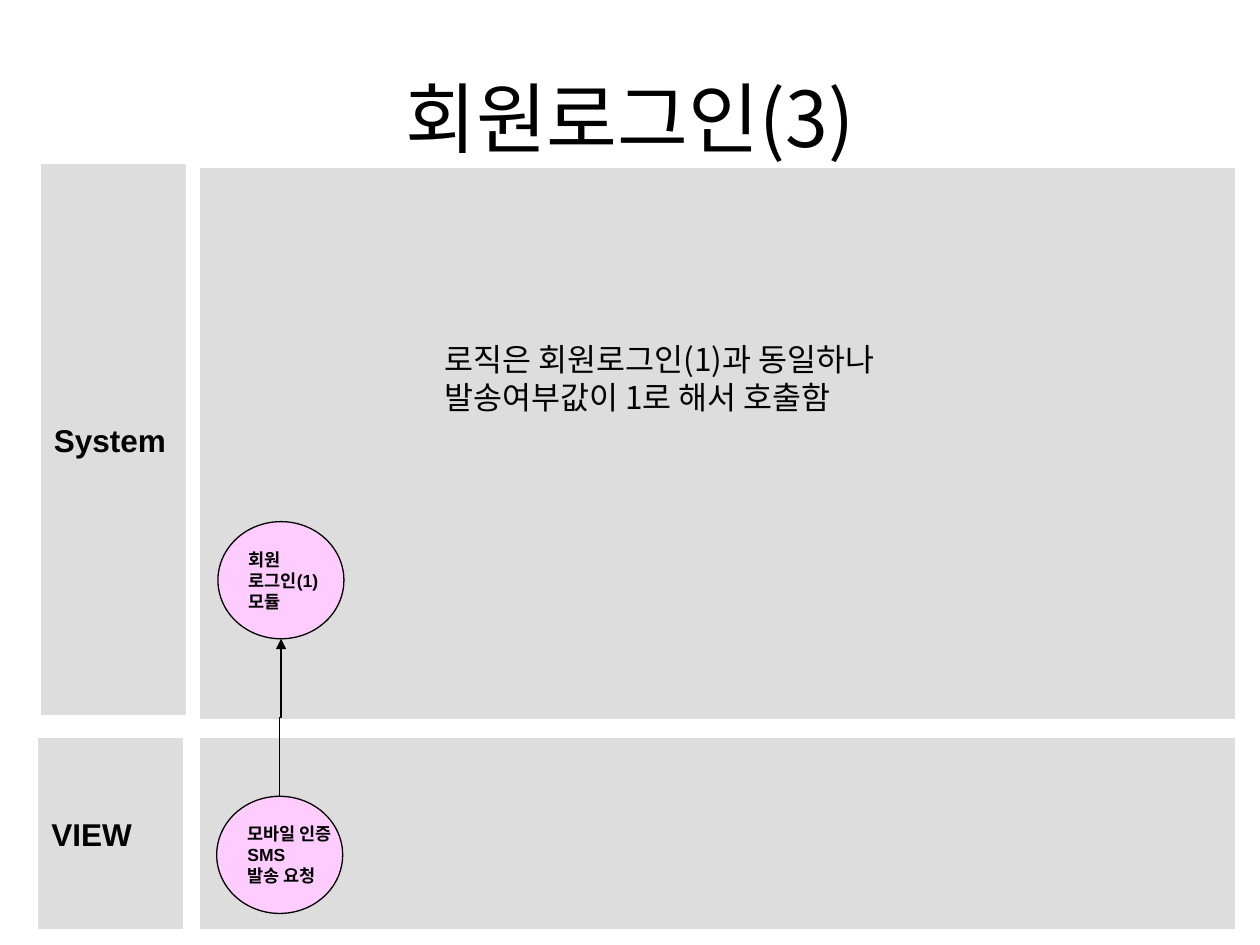
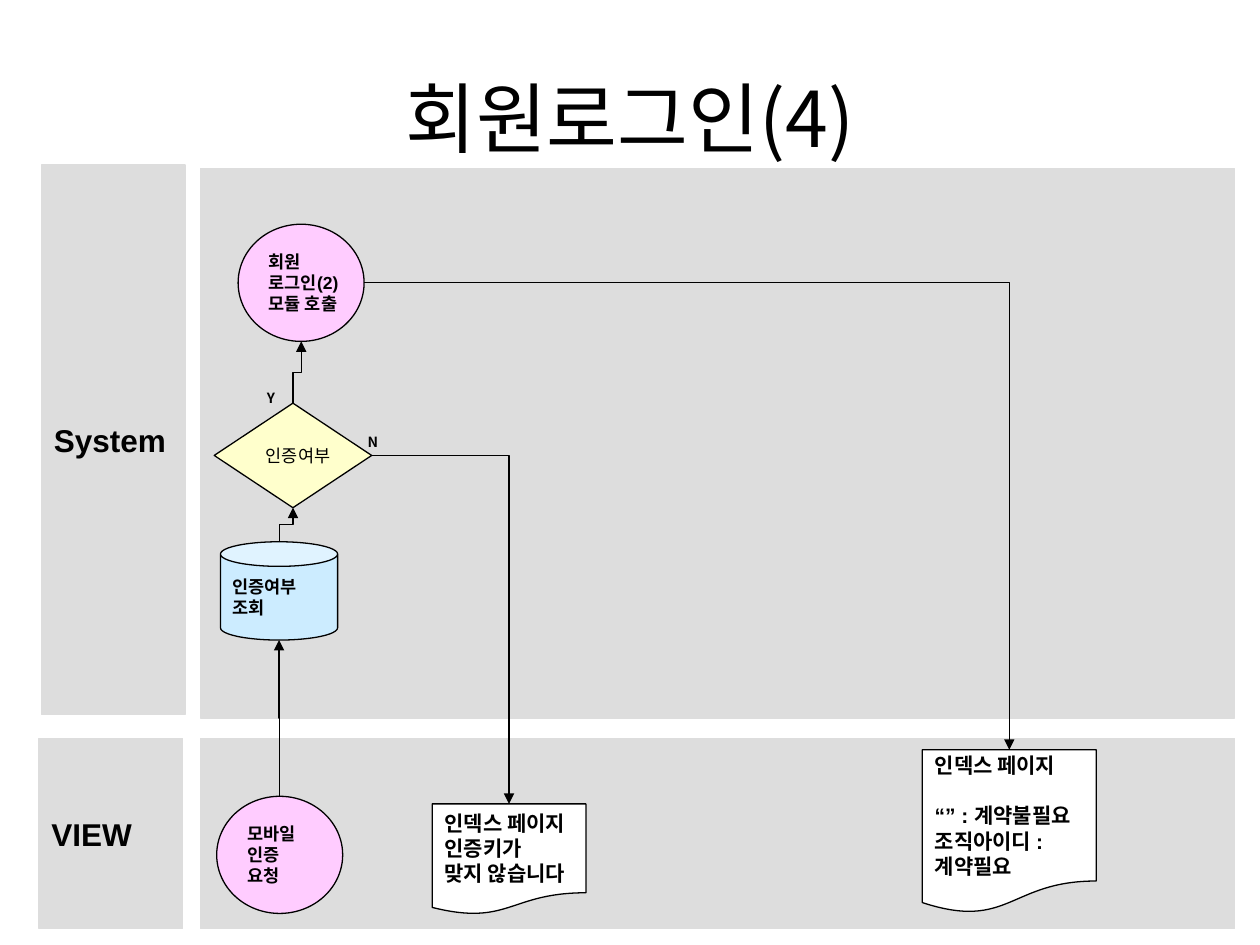
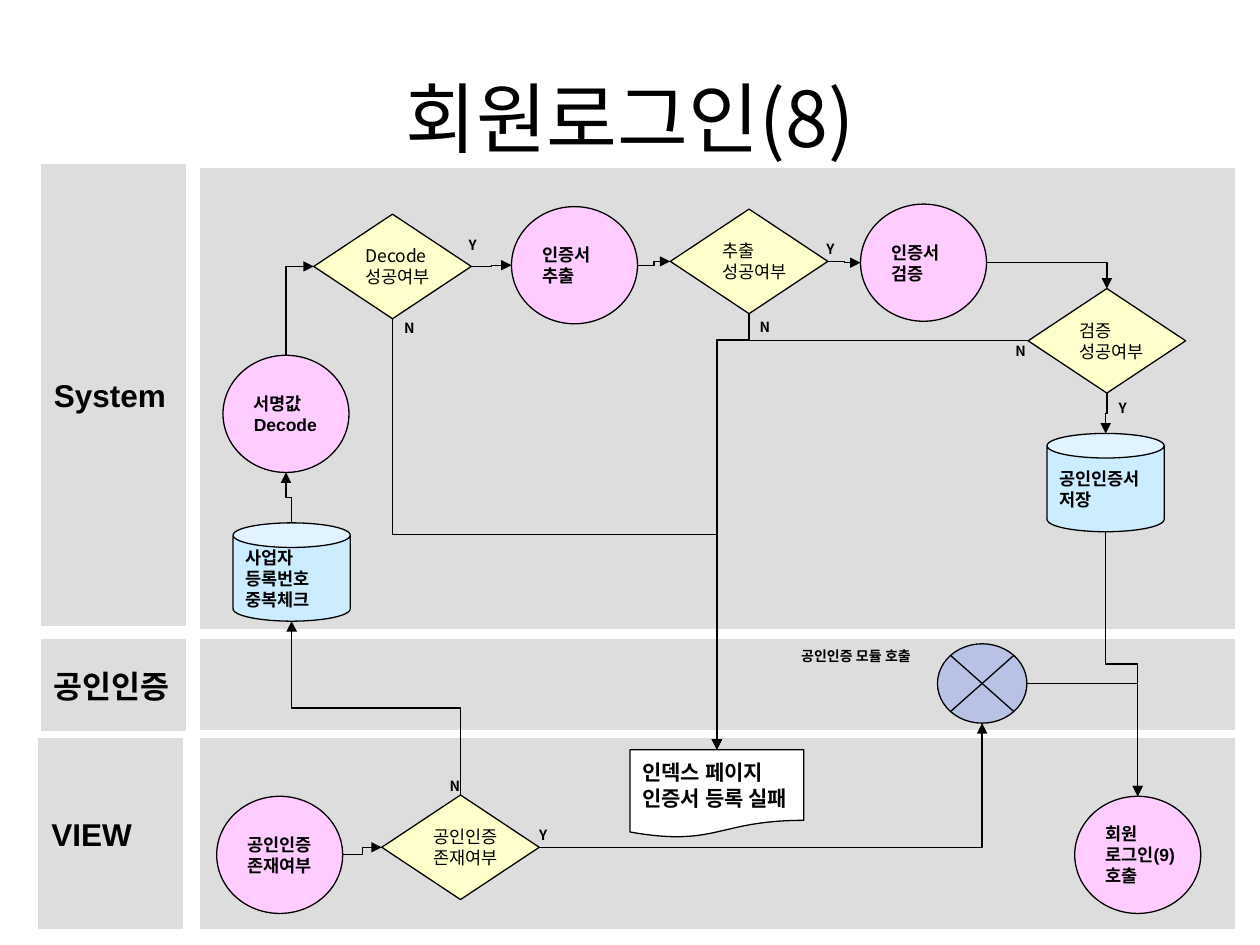
from collections import namedtuple

from lxml.etree import SubElement
from pptx import Presentation
from pptx.dml.color import RGBColor
from pptx.enum.shapes import MSO_CONNECTOR, MSO_SHAPE
from pptx.enum.text import MSO_ANCHOR, PP_ALIGN
from pptx.oxml.ns import qn
from pptx.util import Inches, Pt

COLORS = {
    "ink": "000000",
    "lane": "DDDDDD",
    "circle": "FFCCFF",
    "diamond": "FFFFCC",
    "can": "CCECFF",
    "document": "FFFFFF",
    "junction": "3366FF",
}
LATIN = "Arial"
KOREAN = "Noto Sans CJK KR"
TITLE_ONLY = 5

Box = namedtuple("Box", "left top width height")
Kind = namedtuple("Kind", "preset width height size bold font")

KINDS = {
    "circle": Kind(MSO_SHAPE.OVAL, 1, 0.93, 10, True, LATIN),
    "diamond": Kind(MSO_SHAPE.DIAMOND, 1.25, 0.83, 10, False, KOREAN),
    "can": Kind(MSO_SHAPE.CAN, 0.93, 0.78, 10, True, LATIN),
    "document": Kind(MSO_SHAPE.FLOWCHART_DOCUMENT, 1.38, 0.7, 12, True, LATIN),
    "junction": Kind(MSO_SHAPE.FLOWCHART_SUMMING_JUNCTION, 0.71, 0.63, 10, False, LATIN),
}
SIDES = {"left": (0, 0.5), "right": (1, 0.5), "top": (0.5, 0), "bottom": (0.5, 1)}
UPRIGHT = ("top", "bottom")


def color(name):
    """Return a palette colour."""
    return RGBColor.from_string(COLORS[name])


def write_text(shape, text, size=10, bold=False, font=LATIN, align=PP_ALIGN.LEFT,
               anchor=MSO_ANCHOR.MIDDLE, wrap=False, gaps=None):
    """Fill a shape with one paragraph per line; gaps maps line index to space before."""
    frame = shape.text_frame
    frame.word_wrap = wrap
    frame.vertical_anchor = anchor
    for index, line in enumerate(text.split("\n")):
        para = frame.add_paragraph() if index else frame.paragraphs[0]
        para.alignment = align
        if gaps and index in gaps:
            para.space_before = Pt(gaps[index])
        span = para.add_run()
        span.text = line
        span.font.size = Pt(size)
        span.font.bold = bold
        span.font.color.rgb = color("ink")
        span.font.name = font
        SubElement(span.font._element, qn("a:ea")).set("typeface", KOREAN)


def add_panel(page, preset, box, fill, line):
    """Add a filled preset shape with a thin outline."""
    shape = page.shapes.add_shape(preset, *map(Inches, box))
    shape.shadow.inherit = False
    shape.fill.solid()
    shape.fill.fore_color.rgb = color(fill)
    shape.line.color.rgb = color(line)
    shape.line.width = Pt(0.75)
    return shape


def add_lane(page, name, tag, body):
    """Draw a lane with its name tag and return the body box."""
    add_panel(page, MSO_SHAPE.RECTANGLE, body, "lane", "lane")
    label = add_panel(page, MSO_SHAPE.RECTANGLE, tag, "lane", "lane")
    write_text(label, name, size=18, bold=True)
    return body


def add_system_lane(page, height):
    """Draw the System lane."""
    return add_lane(page, "System", Box(0.33, 1.31, 1.14, height), Box(1.59, 1.34, 8.21, height))


def add_view_lane(page):
    """Draw the VIEW lane."""
    return add_lane(page, "VIEW", Box(0.31, 5.86, 1.14, 1.51), Box(1.59, 5.86, 8.21, 1.51))


def add_node(page, lane, kind, x, y, text="", width=None, height=None, gaps=None):
    """Place a flow node at an offset inside a lane."""
    style = KINDS[kind]
    box = Box(lane.left + x, lane.top + y, width or style.width, height or style.height)
    node = add_panel(page, style.preset, box, kind, "ink")
    if text:
        write_text(node, text, size=style.size, bold=style.bold, font=style.font, gaps=gaps)
    return node


def add_note(page, lane, x, y, text, width=0.28, height=0.24, size=8, bold=True):
    """Place loose text at an offset inside a lane."""
    note = page.shapes.add_textbox(*map(Inches, (lane.left + x, lane.top + y, width, height)))
    write_text(note, text, size=size, bold=bold, font=KOREAN, anchor=MSO_ANCHOR.TOP)


def side_point(node, side):
    """Return the middle of one side of a node."""
    across, down = SIDES[side]
    return node.left + node.width * across, node.top + node.height * down


def add_link(page, start, start_side, end, end_side, bend=0.5):
    """Join two nodes with an elbow arrow that leaves along the start side's axis."""
    x1, y1 = side_point(start, start_side)
    x2, y2 = side_point(end, end_side)
    turn = 0
    if start_side in UPRIGHT:
        turn = 90 if (x2 - x1) * (y2 - y1) < 0 else 270
        sign = 1 if turn == 90 else -1
        mid_x, mid_y = (x1 + x2) / 2, (y1 + y2) / 2
        half_x, half_y = sign * (x2 - x1) / 2, sign * (y2 - y1) / 2
        x1, y1, x2, y2 = mid_x - half_y, mid_y + half_x, mid_x + half_y, mid_y - half_x
    link = page.shapes.add_connector(MSO_CONNECTOR.ELBOW, *map(int, (x1, y1, x2, y2)))
    link.line.color.rgb = color("ink")
    link.line.width = Pt(0.75)
    properties = link.element.spPr
    if turn:
        properties.find(qn("a:xfrm")).set("rot", str(turn * 60000))
    geometry = properties.find(qn("a:prstGeom"))
    if (start_side in UPRIGHT) != (end_side in UPRIGHT):
        geometry.set("prst", "bentConnector2")
    else:
        guide = SubElement(geometry.find(qn("a:avLst")), qn("a:gd"))
        guide.set("name", "adj1")
        guide.set("fmla", f"val {round(bend * 100000)}")
    SubElement(properties.find(qn("a:ln")), qn("a:tailEnd")).set("type", "triangle")
    SubElement(properties, qn("a:effectLst"))


def add_page(deck, title):
    """Add a slide with the shared title style."""
    page = deck.slides.add_slide(deck.slide_layouts[TITLE_ONLY])
    box = page.shapes.title
    box.left, box.top, box.width, box.height = map(Inches, (0.5, 0.3, 9, 1.25))
    write_text(box, title, size=44, font=KOREAN, align=PP_ALIGN.CENTER, wrap=True)
    return page


def build_resend_page(deck):
    """Build the SMS request flow."""
    page = add_page(deck, "회원로그인(3)")
    view = add_view_lane(page)
    system = add_system_lane(page, 4.36)
    request = add_node(page, view, "circle", 0.13, 0.46, "모바일 인증\nSMS\n발송 요청")
    module = add_node(page, system, "circle", 0.14, 2.8, "회원\n로그인(1)\n모듈")
    add_link(page, request, "top", module, "bottom")
    add_note(page, system, 1.84, 1.31, "로직은 회원로그인(1)과 동일하나\n발송여부값이 1로 해서 호출함",
             width=3.96, height=0.71, size=18, bold=False)


def build_mobile_page(deck):
    """Build the mobile verification flow."""
    page = add_page(deck, "회원로그인(4)")
    view = add_view_lane(page)
    system = add_system_lane(page, 4.36)
    request = add_node(page, view, "circle", 0.13, 0.46, "모바일\n인증\n요청")
    lookup = add_node(page, system, "can", 0.16, 2.96, "인증여부\n조회")
    verified = add_node(page, system, "diamond", 0.11, 1.86, "인증여부")
    module = add_node(page, system, "circle", 0.3, 0.44, "회원\n로그인(2)\n모듈 호출")
    failure = add_node(page, view, "document", 1.84, 0.52, "인덱스 페이지\n인증키가\n맞지 않습니다",
                       width=1.22, height=0.88)
    index = add_node(page, view, "document", 5.73, 0.09,
                     "인덱스 페이지\n“” : 계약불필요\n조직아이디 :\n계약필요",
                     height=1.3, gaps={1: 14.5})
    add_link(page, request, "top", lookup, "bottom")
    add_link(page, lookup, "top", verified, "bottom")
    add_link(page, verified, "top", module, "bottom")
    add_link(page, verified, "right", failure, "top")
    add_link(page, module, "right", index, "top")
    add_note(page, system, 0.43, 1.7, "Y")
    add_note(page, system, 1.23, 2.05, "N")


def build_certificate_page(deck):
    """Build the certificate verification flow."""
    page = add_page(deck, "회원로그인(8)")
    view = add_view_lane(page)
    system = add_system_lane(page, 3.65)
    module = add_lane(page, "공인인증", Box(0.33, 5.08, 1.14, 0.72), Box(1.59, 5.08, 8.21, 0.71))

    request = add_node(page, view, "circle", 0.13, 0.46, "공인인증\n존재여부")
    exists = add_node(page, view, "diamond", 1.44, 0.45, "공인인증\n존재여부")
    failure = add_node(page, view, "document", 3.41, 0.09, "인덱스 페이지\n인증서 등록 실패")
    login = add_node(page, view, "circle", 6.94, 0.46, "회원\n로그인(9)\n호출")
    junction = add_node(page, module, "junction", 5.85, 0.03)
    tint = junction.element.spPr.find(qn("a:solidFill")).find(qn("a:srgbClr"))
    SubElement(tint, qn("a:alpha")).set("val", "22000")
    duplicate = add_node(page, system, "can", 0.26, 2.81, "사업자\n등록번호\n중복체크")
    decode = add_node(page, system, "circle", 0.18, 1.48, "서명값\nDecode")
    decoded = add_node(page, system, "diamond", 0.9, 0.36, "Decode\n성공여부")
    extract = add_node(page, system, "circle", 2.47, 0.3, "인증서\n추출")
    extracted = add_node(page, system, "diamond", 3.73, 0.32, "추출\n성공여부")
    verify = add_node(page, system, "circle", 5.24, 0.28, "인증서\n검증")
    verified = add_node(page, system, "diamond", 6.57, 0.95, "검증\n성공여부")
    store = add_node(page, system, "can", 6.72, 2.1, "공인인증서\n저장")

    for start, start_side, end, end_side in (
        (request, "right", exists, "left"),
        (exists, "top", duplicate, "bottom"),
        (exists, "right", junction, "bottom"),
        (duplicate, "top", decode, "bottom"),
        (decode, "top", decoded, "left"),
        (decoded, "right", extract, "left"),
        (decoded, "bottom", failure, "top"),
        (extract, "right", extracted, "left"),
        (extracted, "right", verify, "left"),
        (verify, "right", verified, "top"),
        (verified, "left", failure, "top"),
        (verified, "bottom", store, "top"),
        (store, "bottom", login, "top"),
        (junction, "right", login, "top"),
    ):
        add_link(page, start, start_side, end, end_side)
    add_link(page, extracted, "bottom", failure, "top", bend=0.06)

    add_note(page, module, 4.67, 0.01, "공인인증 모듈 호출", width=1.18)
    for lane, x, y, answer in (
        (view, 1.88, 0.26, "N"),
        (view, 2.59, 0.65, "Y"),
        (system, 2.03, 0.49, "Y"),
        (system, 1.52, 1.15, "N"),
        (system, 4.87, 0.52, "Y"),
        (system, 4.34, 1.14, "N"),
        (system, 7.19, 1.78, "Y"),
        (system, 6.37, 1.33, "N"),
    ):
        add_note(page, lane, x, y, answer)


def main():
    """Build and save the deck."""
    deck = Presentation()
    deck.slide_width, deck.slide_height = Inches(10), Inches(7.5)
    build_resend_page(deck)
    build_mobile_page(deck)
    build_certificate_page(deck)
    deck.save("out.pptx")


if __name__ == "__main__":
    main()
